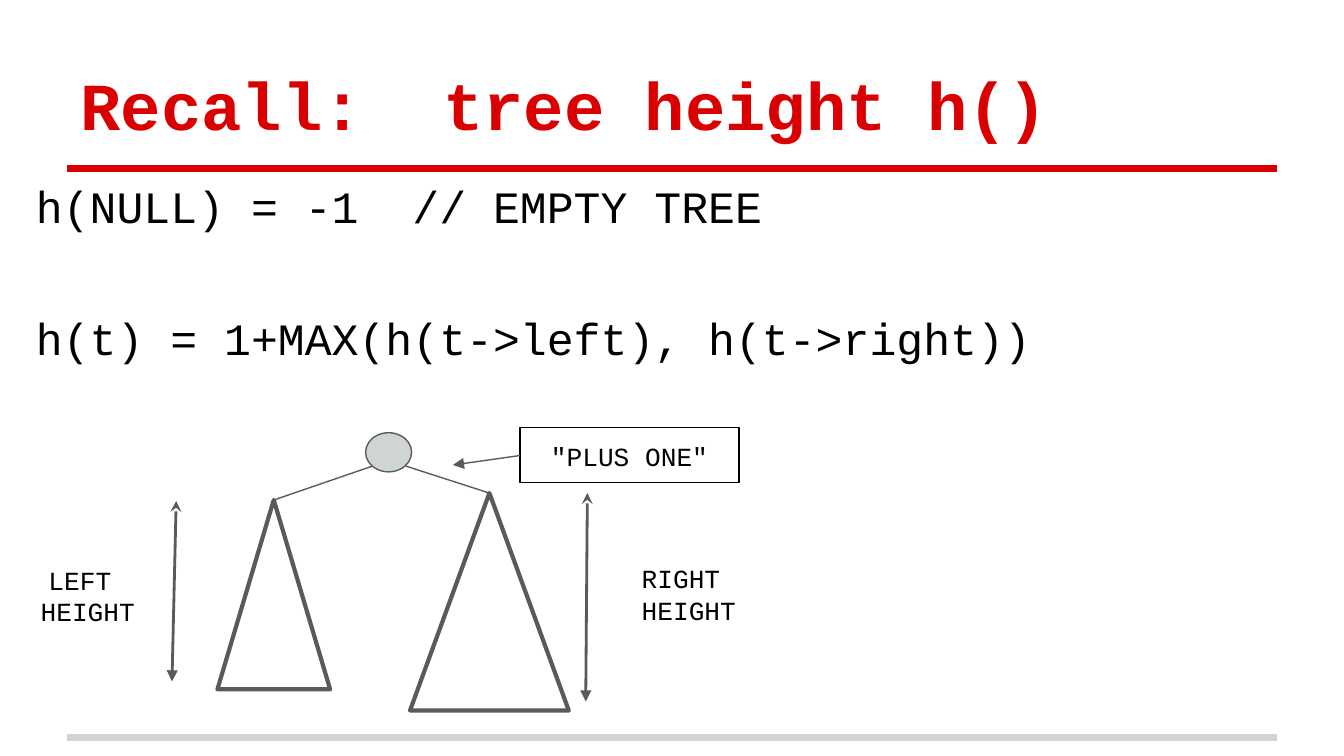
from lxml import etree
from pptx import Presentation
from pptx.dml.color import RGBColor
from pptx.enum.shapes import MSO_CONNECTOR, MSO_SHAPE
from pptx.enum.text import MSO_ANCHOR, PP_ALIGN
from pptx.oxml.ns import qn
from pptx.util import Cm, Pt

RED = RGBColor(0xDA, 0x00, 0x02)
BLACK = RGBColor(0x00, 0x00, 0x00)
GRAY = RGBColor(0x5B, 0x59, 0x5A)
LIGHT_GRAY = RGBColor(0xCF, 0xD4, 0xD4)
FONT = "Courier New"


def write_text(shape, lines, size=14, color=BLACK, bold=False,
               align=PP_ALIGN.CENTER, anchor=MSO_ANCHOR.TOP, gap=0):
    """Fill a shape with one paragraph per line, gap points apart."""
    frame = shape.text_frame
    frame.word_wrap = True
    frame.vertical_anchor = anchor
    frame.margin_left = frame.margin_right = Cm(0.25)
    frame.margin_top = frame.margin_bottom = Cm(0.25)
    for index, line in enumerate(lines):
        paragraph = frame.add_paragraph() if index else frame.paragraphs[0]
        paragraph.alignment = align
        paragraph.space_before = Pt(gap if index else 0)
        run = paragraph.add_run()
        run.text = line
        run.font.name = FONT
        run.font.size = Pt(size)
        run.font.bold = bold
        run.font.color.rgb = color


def add_text_box(slide, left, top, width, height, lines, **text_format):
    box = slide.shapes.add_textbox(Cm(left), Cm(top), Cm(width), Cm(height))
    write_text(box, lines, **text_format)


def add_outlined_shape(slide, kind, left, top, width, height,
                       color=GRAY, weight=0.75, fill=None):
    shape = slide.shapes.add_shape(kind, Cm(left), Cm(top), Cm(width), Cm(height))
    shape.shadow.inherit = False
    if fill is None:
        shape.fill.background()
    else:
        shape.fill.solid()
        shape.fill.fore_color.rgb = fill
    shape.line.color.rgb = color
    shape.line.width = Pt(weight)
    return shape


def add_line(slide, start, end, color=GRAY, weight=0.75, head=None, tail=None):
    """Draw a line with optional arrowheads at its start (head) and end (tail)."""
    x1, y1, x2, y2 = (Cm(value) for value in (*start, *end))
    line = slide.shapes.add_connector(MSO_CONNECTOR.STRAIGHT, x1, y1, x2, y2)
    line.line.color.rgb = color
    line.line.width = Pt(weight)
    outline = line.line._get_or_add_ln()
    for tag, arrow in (("a:headEnd", head), ("a:tailEnd", tail)):
        if arrow:
            etree.SubElement(outline, qn(tag), type=arrow)
    etree.SubElement(line._element.spPr, qn("a:effectLst"))


def add_title(slide, text):
    title = slide.shapes.title
    title.left, title.top = Cm(1.27), Cm(0.58)
    title.width, title.height = Cm(22.86), Cm(2.39)
    write_text(title, [text], size=36, color=RED, bold=True,
               align=PP_ALIGN.LEFT, anchor=MSO_ANCHOR.BOTTOM)


def add_tree(slide):
    add_outlined_shape(slide, MSO_SHAPE.OVAL, 6.91, 8.18, 0.87, 0.74, fill=LIGHT_GRAY)
    for left, top, width, height in ((4.11, 9.45, 2.13, 3.58), (7.75, 9.32, 3, 4.11)):
        add_outlined_shape(slide, MSO_SHAPE.ISOSCELES_TRIANGLE,
                           left, top, width, height, weight=2.25)
    add_line(slide, (7.04, 8.81), (5.18, 9.45))
    add_line(slide, (7.67, 8.81), (9.25, 9.32))


def add_annotations(slide):
    for start, end in (((3.33, 9.47), (3.25, 12.88)), ((11.1, 9.32), (11.07, 13.26))):
        add_line(slide, start, end, weight=1.5, head="stealth", tail="triangle")
    add_text_box(slide, 0.25, 10.41, 2.82, 1.47, ["LEFT ", "HEIGHT"])
    add_text_box(slide, 11.61, 10.39, 2.82, 1.47, ["RIGHT ", "HEIGHT"])
    plus_one = add_outlined_shape(slide, MSO_SHAPE.RECTANGLE,
                                  9.83, 8.08, 4.14, 1.04, color=BLACK)
    write_text(plus_one, ['"PLUS ONE"'])
    add_line(slide, (9.83, 8.61), (8.56, 8.79), tail="triangle")


def main():
    presentation = Presentation()
    presentation.slide_width, presentation.slide_height = Cm(25.4), Cm(14.29)
    slide = presentation.slides.add_slide(presentation.slide_layouts[5])
    for y, color in ((13.94, LIGHT_GRAY), (3.18, RED)):
        add_line(slide, (1.27, y), (24.13, y), color=color, weight=4)
    add_title(slide, "Recall:  tree height h()")
    add_text_box(slide, 0.43, 3.13, 25.17, 4.47,
                 ["h(NULL) = -1  // EMPTY TREE",
                  "h(t) = 1+MAX(h(t->left), h(t->right))"],
                 size=24, align=PP_ALIGN.LEFT, gap=42)
    add_tree(slide)
    add_annotations(slide)
    presentation.save("out.pptx")


if __name__ == "__main__":
    main()
